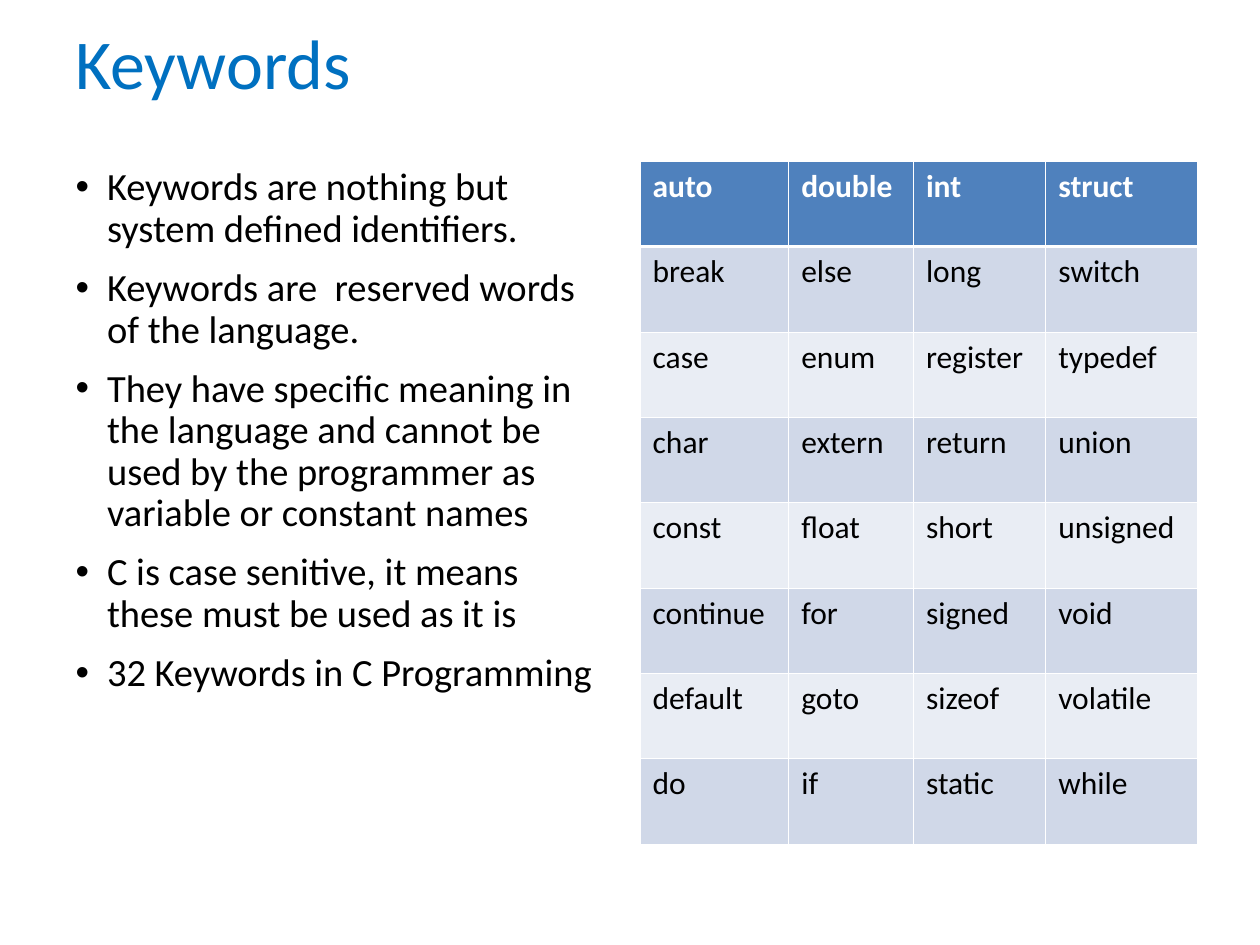
from lxml import etree
from pptx import Presentation, util as u
from pptx.dml.color import RGBColor
from pptx.enum import text
from pptx.oxml.ns import qn

FONT = "Calibri"
POINTS = [
    "Keywords are nothing but system defined identifiers.",
    "Keywords are  reserved words of the language.",
    "They have specific meaning in the language and cannot be used by the "
    "programmer as variable or constant names",
    "C is case senitive, it means these must be used as it is",
    "32 Keywords in C Programming",
]
# Alphabetical, running down each column of the table
WORDS = """auto break case char const continue default do
double else enum extern float for goto if
int long register return short signed sizeof static
struct switch typedef union unsigned void volatile while""".split()
ROWS = 8
WIDTHS = [1.18, 0.99, 1.05, 1.2]


def style(font, size, shade, bold=False):
    font.name, font.size, font.bold = FONT, u.Pt(size), bold
    font.color.rgb = RGBColor.from_string(shade)


def place(shape, box):
    shape.left, shape.top, shape.width, shape.height = map(u.Inches, box)


def bullet(para):
    props = para._p.get_or_add_pPr()
    props.set("marL", str(u.Inches(0.25)))
    props.set("indent", str(-u.Inches(0.25)))
    shade = etree.SubElement(props, qn("a:buClr"))
    etree.SubElement(shade, qn("a:srgbClr"), val="000000")
    etree.SubElement(props, qn("a:buFont"), typeface="Arial")
    etree.SubElement(props, qn("a:buChar"), char="•")


def border(cell, side, width):
    line = etree.SubElement(cell._tc.get_or_add_tcPr(), qn("a:ln" + side),
                            w=str(u.Pt(width)))
    fill = etree.SubElement(line, qn("a:solidFill"))
    etree.SubElement(fill, qn("a:srgbClr"), val="FFFFFF")


def add_title(shape, box):
    place(shape, box)
    frame = shape.text_frame
    frame.text = "Keywords"
    frame.auto_size = text.MSO_AUTO_SIZE.NONE
    frame.vertical_anchor = text.MSO_ANCHOR.MIDDLE
    para = frame.paragraphs[0]
    para.alignment = text.PP_ALIGN.LEFT
    para.line_spacing = 0.9
    style(para.runs[0].font, 40, "0070C0")


def add_list(shape, box):
    place(shape, box)
    frame = shape.text_frame
    frame.text = "\n".join(POINTS)
    frame.auto_size = text.MSO_AUTO_SIZE.NONE
    for i, para in enumerate(frame.paragraphs):
        bullet(para)
        para.line_spacing = 0.9
        para.space_before = u.Pt(10 if i else 0)
        style(para.runs[0].font, 22, "000000")


def add_grid(slide, box):
    table = slide.shapes.add_table(ROWS, len(WIDTHS), *map(u.Inches, box)).table
    for col, width in zip(table.columns, WIDTHS):
        col.width = u.Inches(width)
    for i, word in enumerate(WORDS):
        col, row = divmod(i, ROWS)
        head = row == 0
        cell = table.cell(row, col)
        # A thicker rule parts the header from the body
        for side in "LRTB":
            thick = (row, side) in ((0, "B"), (1, "T"))
            border(cell, side, 1.47 if thick else 0.45)
        cell.fill.solid()
        shade = "4F81BD" if head else "D0D8E8" if row % 2 else "E9EDF4"
        cell.fill.fore_color.rgb = RGBColor.from_string(shade)
        cell.text_frame.text = word
        para = cell.text_frame.paragraphs[0]
        para.space_before = u.Pt(0)
        style(para.runs[0].font, 18, "FFFFFF" if head else "000000", head)


def main():
    deck = Presentation()
    deck.slide_width, deck.slide_height = u.Inches(10), u.Inches(7.5)
    slide = deck.slides.add_slide(deck.slide_layouts[1])

    # Two equal columns below the title
    edge, top, wide, high = 0.5, 1.28, 4.42, 5.42
    add_title(slide.shapes.title, (edge, 0.21, 10 - 2 * edge, 0.64))
    add_list(slide.placeholders[1], (edge, top, wide, high))
    add_grid(slide, (10 - edge - wide, top, wide, high))
    deck.save("out.pptx")


if __name__ == "__main__":
    main()
